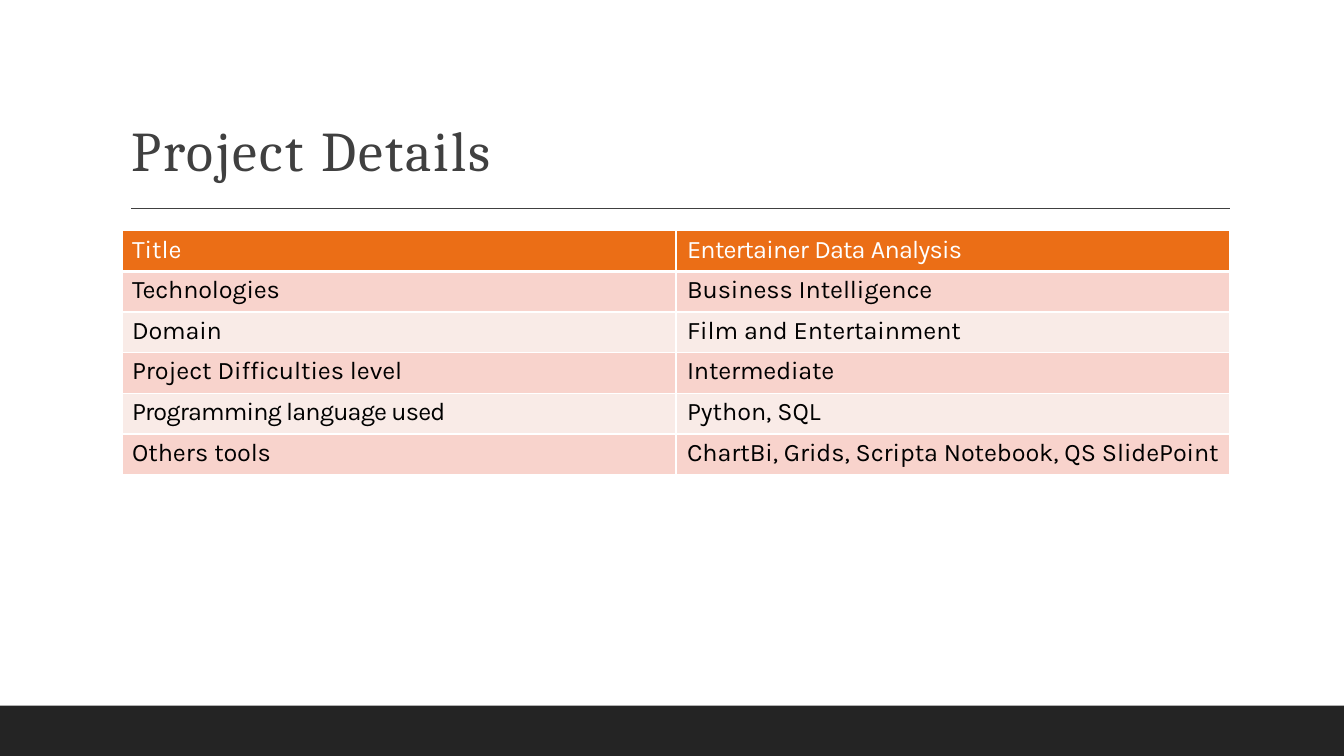
from pptx import Presentation, util as u
from pptx.dml.color import RGBColor
from pptx.enum import shapes, text
from pptx.oxml import parse_xml
from pptx.oxml.ns import nsdecls

HEADING = [("Project ", 1.7), ("Details", 1.6)]
DETAILS = [
    ([("Title", 0)], [("Entertainer ", -0.5), ("Data ", -0.6), ("Analysis", -0.5)]),
    ([("Technologies", -0.1)], [("Business Intelligence", -0.07)]),
    ([("Domain", -0.1)], [("Film and Entertainment", -0.07)]),
    ([("Project Difficulties level", -0.06)], [("Intermediate", -0.1)]),
    ([("Programming language used", -0.6)], [("Python, SQL", -0.04)]),
    ([("Others ", 0), ("tools", -0.1)],
     [("ChartBi, Grids, Scripta Notebook, QS ", -0.05), ("SlidePoint", -0.05)]),
]
RULES = [3, 1.5, 1, 1, 1.5]
SPACE_BEFORE = [2.5, 3, 3, 3.1, 3.1, 3.1]

WHITE = RGBColor(0xFF, 0xFF, 0xFF)
BLACK = RGBColor(0, 0, 0)
GREY = RGBColor(0x40, 0x40, 0x40)
DARK = RGBColor(0x24, 0x24, 0x24)
ORANGE = RGBColor(0xEB, 0x6E, 0x16)
PINK = RGBColor(0xF8, 0xD3, 0xCC)
PALE = RGBColor(0xF9, 0xEB, 0xE7)

WIDTH, HEIGHT = 13.33, 7.5
FOOTER_HEIGHT = HEIGHT / 15
GRID_LEFT, GRID_TOP, GRID_WIDTH, GRID_HEIGHT = 1.21, 2.29, 10.99, 2.42
GRID_RIGHT = GRID_LEFT + GRID_WIDTH
COLUMN_INDENTS = [0.1, 0.11]


def write(paragraph, pieces, font_name, size, colour):
    for words, spacing in pieces:
        run = paragraph.add_run()
        run.text = words
        run.font.name = font_name
        run.font.size = u.Pt(size)
        run.font.color.rgb = colour
        run._r.get_or_add_rPr().set("spc", str(round(spacing * 100)))


def add_border(cell, side, points):
    cell._tc.get_or_add_tcPr().append(parse_xml(
        f'<a:ln{side} {nsdecls("a")} w="{u.Pt(points)}"><a:solidFill>'
        f'<a:srgbClr val="{WHITE}"/></a:solidFill></a:ln{side}>'))


def add_heading(slide):
    underline = slide.shapes.add_connector(
        shapes.MSO_CONNECTOR.STRAIGHT,
        u.Inches(1.3), u.Inches(2.07), u.Inches(GRID_RIGHT), u.Inches(2.07))
    underline.line.color.rgb = GREY
    underline.line.width = u.Pt(1)
    underline._element.spPr.append(parse_xml(f'<a:effectLst {nsdecls("a")}/>'))

    heading = slide.shapes.add_textbox(
        u.Inches(1.29), u.Inches(1.14), u.Inches(3.85), u.Inches(0.69)).text_frame
    heading.word_wrap = False
    heading.margin_left = heading.margin_top = u.Inches(0.01)
    heading.margin_right = heading.margin_bottom = 0
    heading.paragraphs[0].space_before = u.Pt(0.9)
    write(heading.paragraphs[0], HEADING, "Cambria", 40, GREY)


def add_details(slide):
    details = slide.shapes.add_table(
        len(DETAILS), 2, u.Inches(GRID_LEFT), u.Inches(GRID_TOP),
        u.Inches(GRID_WIDTH), u.Inches(GRID_HEIGHT)).table
    for row, entries in enumerate(DETAILS):
        fill = ORANGE if row == 0 else PINK if row % 2 else PALE
        for column, pieces in enumerate(entries):
            cell = details.cell(row, column)
            cell.margin_left = u.Inches(COLUMN_INDENTS[column])
            cell.margin_top = u.Inches(0.04)
            cell.margin_right = cell.margin_bottom = 0
            cell.vertical_anchor = text.MSO_ANCHOR.TOP
            add_border(cell, "L" if column else "R", 1.5)
            if row > 0:
                add_border(cell, "T", RULES[row - 1])
            if row < len(RULES):
                add_border(cell, "B", RULES[row])
            cell.fill.solid()
            cell.fill.fore_color.rgb = fill
            paragraph = cell.text_frame.paragraphs[0]
            paragraph.space_before = u.Pt(SPACE_BEFORE[row])
            write(paragraph, pieces, "Karla", 18, BLACK if row else WHITE)
            for run in paragraph.runs:
                run.font.bold = False


def add_footer(slide):
    footer = slide.shapes.add_shape(
        shapes.MSO_SHAPE.RECTANGLE, 0, u.Inches(HEIGHT - FOOTER_HEIGHT),
        u.Inches(WIDTH), u.Inches(FOOTER_HEIGHT))
    footer.shadow.inherit = False
    footer.fill.solid()
    footer.fill.fore_color.rgb = DARK
    footer.line.fill.background()


def main():
    deck = Presentation()
    deck.slide_width, deck.slide_height = u.Inches(WIDTH), u.Inches(HEIGHT)
    slide = deck.slides.add_slide(deck.slide_layouts[6])
    add_heading(slide)
    add_details(slide)
    add_footer(slide)
    deck.save("out.pptx")


if __name__ == "__main__":
    main()
